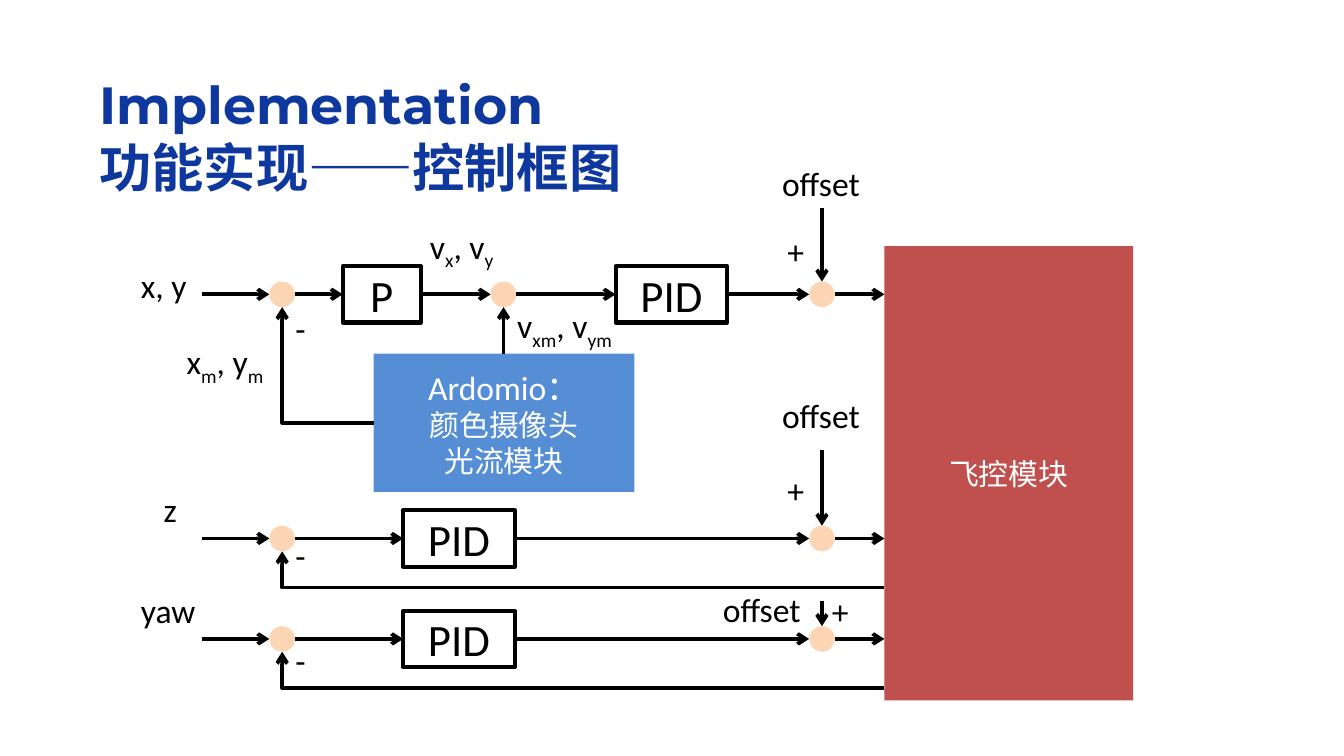
import pptx
import pptx.util
import pptx.dml.color
import pptx.enum.shapes
import pptx.enum.text
import pptx.oxml.ns
import lxml.etree

Pt = pptx.util.Pt
RGBColor = pptx.dml.color.RGBColor
SHAPE = pptx.enum.shapes.MSO_SHAPE
CONNECTOR = pptx.enum.shapes.MSO_CONNECTOR
ALIGN = pptx.enum.text.PP_ALIGN
ANCHOR = pptx.enum.text.MSO_ANCHOR
qn = pptx.oxml.ns.qn

NAVY = RGBColor(0x0F, 0x38, 0x9F)
BLACK = RGBColor(0, 0, 0)
WHITE = RGBColor(0xFF, 0xFF, 0xFF)
PEACH = RGBColor(0xFC, 0xD5, 0xB5)
BLUE = RGBColor(0x55, 0x8E, 0xD5)
RED = RGBColor(0xC0, 0x50, 0x4D)
CJK = "Noto Sans CJK SC"
NODE = 13.7
BOX_H = 30.2
LABEL_H = 28.8


def add_text(p, text, size=18, font="Calibri", color=BLACK, bold=False, align=ALIGN.LEFT):
    p.alignment = align
    for i, part in enumerate(text.split("_")):
        r = p.add_run()
        r.text = part
        r.font.size = Pt(size)
        r.font.name = font
        r.font.bold = bold
        r.font.color.rgb = color
        rPr = r.font._element
        lxml.etree.SubElement(rPr, qn("a:ea")).set("typeface", CJK)
        if i % 2:
            rPr.set("baseline", "-25000")


def add_lines(tf, lines):
    for i, (text, fmt) in enumerate(lines):
        add_text(tf.add_paragraph() if i else tf.paragraphs[0], text, **fmt)


def add_block(s, kind, left, top, width, height, fill=None, line=None, lines=()):
    sp = s.shapes.add_shape(kind, Pt(left), Pt(top), Pt(width), Pt(height))
    sp.shadow.inherit = False
    if fill is None:
        sp.fill.background()
    else:
        sp.fill.solid()
        sp.fill.fore_color.rgb = fill
    if line is None:
        sp.line.fill.background()
    else:
        sp.line.color.rgb = line
        sp.line.width = Pt(2.25)
    sp.text_frame.vertical_anchor = ANCHOR.MIDDLE
    add_lines(sp.text_frame, lines)


def add_label(s, text, left, top, width):
    sp = s.shapes.add_textbox(Pt(left), Pt(top), Pt(width), Pt(LABEL_H))
    sp.text_frame.word_wrap = False
    add_text(sp.text_frame.paragraphs[0], text)


def add_arrow(s, x1, y1, x2, y2, kind=CONNECTOR.STRAIGHT):
    c = s.shapes.add_connector(kind, Pt(x1), Pt(y1), Pt(x2), Pt(y2))
    c.line.color.rgb = BLACK
    c.line.width = Pt(2)
    ln = c.line._get_or_add_ln()
    lxml.etree.SubElement(ln, qn("a:tailEnd")).set("type", "arrow")
    lxml.etree.SubElement(c._element.spPr, qn("a:effectLst"))
    return c


def add_feedback(s, left, top, width, height):
    c = add_arrow(s, left, top, left + width, top + height, CONNECTOR.ELBOW)
    spPr = c._element.spPr
    spPr.find(qn("a:prstGeom")).set("prst", "bentConnector2")
    spPr.find(qn("a:xfrm")).set("rot", "10800000")


def add_title(s, left, top, width, height):
    sp = s.shapes.title
    sp.left, sp.top, sp.width, sp.height = Pt(left), Pt(top), Pt(width), Pt(height)
    tf = sp.text_frame
    tf.word_wrap = False
    tf.auto_size = pptx.enum.text.MSO_AUTO_SIZE.NONE
    tf.vertical_anchor = ANCHOR.TOP
    fmt = dict(size=28, font="Montserrat", color=NAVY, bold=True)
    add_lines(tf, [("Implementation", fmt), ("功能实现——控制框图", fmt)])


def add_signal_row(s, left, y, end, stations):
    x = left
    for start, width, name in stations:
        add_arrow(s, x, y, start, y)
        if name:
            fmt = dict(size=24, align=ALIGN.CENTER)
            add_block(s, SHAPE.RECTANGLE, start, y - BOX_H / 2, width, BOX_H,
                      line=BLACK, lines=[(name, fmt)])
        else:
            add_block(s, SHAPE.OVAL, start, y - NODE / 2, width, width, fill=PEACH)
        x = start + width
    add_arrow(s, x, y, end, y)


def add_offset(s, x, y, length, offset_at, plus_at):
    add_arrow(s, x, y - NODE / 2 - length, x, y - NODE / 2)
    add_label(s, "offset", *offset_at, 56.9)
    add_label(s, "+", *plus_at, 23.8)


def add_camera_block(s, left, top, width, height):
    fmt = dict(color=WHITE, align=ALIGN.CENTER)
    cjk = dict(fmt, size=16, font=CJK)
    add_block(s, SHAPE.RECTANGLE, left, top, width, height, fill=BLUE,
              lines=[("Ardomio：", fmt), ("颜色摄像头", cjk), ("光流模块", cjk)])


def add_flight_block(s, left, top, width, height):
    fmt = dict(size=16, font=CJK, color=WHITE, align=ALIGN.CENTER)
    add_block(s, SHAPE.RECTANGLE, left, top, width, height, fill=RED,
              lines=[("飞控模块", fmt)])


def add_diagram(s, left, top, width, height):
    module_x = left + 365.8
    sum_x, mid_x, offset_x = left + 36.3, left + 154.9, left + 325.5
    xy_y, z_y, yaw_y = top + 25.9, top + 156.7, top + 210.5
    first, middle, last = ((x, NODE, "") for x in (sum_x, mid_x, offset_x))
    camera_x, camera_y = left + 92.2, top + 57.6
    add_flight_block(s, module_x, top, width - 365.8, height)
    add_camera_block(s, camera_x, camera_y, 139.7, 74.2)

    add_signal_row(s, left, xy_y, module_x,
                   [first, (left + 75.6, 41.8, "P"), middle, (left + 221.8, 59.8, "PID"), last])
    for y in (z_y, yaw_y):
        add_signal_row(s, left, y, module_x, [first, (left + 108, 59.8, "PID"), last])

    node_x = sum_x + NODE / 2
    for y, end, drop in ((xy_y, camera_x, 62), (z_y, module_x, 19.4), (yaw_y, module_x, 19.4)):
        add_feedback(s, node_x, y + NODE / 2, end - node_x, drop)
    add_arrow(s, mid_x + NODE / 2, camera_y, mid_x + NODE / 2, xy_y + NODE / 2)

    x = offset_x + NODE / 2
    add_offset(s, x, xy_y, 39.6, (x - 28.5, top - 48.3), (x - 25.6, top - 11.5))
    add_offset(s, x, z_y, 40.3, (x - 28.5, top + 76.3), (x - 25.6, top + 116.6))
    add_offset(s, x, yaw_y, 13.7, (x - 60.2, top + 180), (x - 1.8, top + 181.4))

    for text, dx, dy, w in (
        ("x, y", -39.6, 6.4, 39.6), ("z", -27.4, 126.7, 21.6), ("yaw", -39.6, 180.7, 44.6),
        ("v_x_, v_y", 115.2, -14.4, 58.3), ("x_m_, y_m", -15.1, 47.5, 58.3),
        ("v_xm_, v_ym", 162, 28.1, 86.4),
        ("-", 43.2, 29.5, 20.2), ("-", 43.2, 151.2, 20.2), ("-", 43.2, 207.4, 20.2),
    ):
        add_label(s, text, left + dx, top + dy, w)


prs = pptx.Presentation()
prs.slide_width, prs.slide_height = Pt(720), Pt(405)
s = prs.slides.add_slide(prs.slide_layouts[5])
add_title(s, 46.1, 35.3, 297.4, 74.9)
add_diagram(s, 108, 131.8, 499, 243.4)
prs.save("out.pptx")
